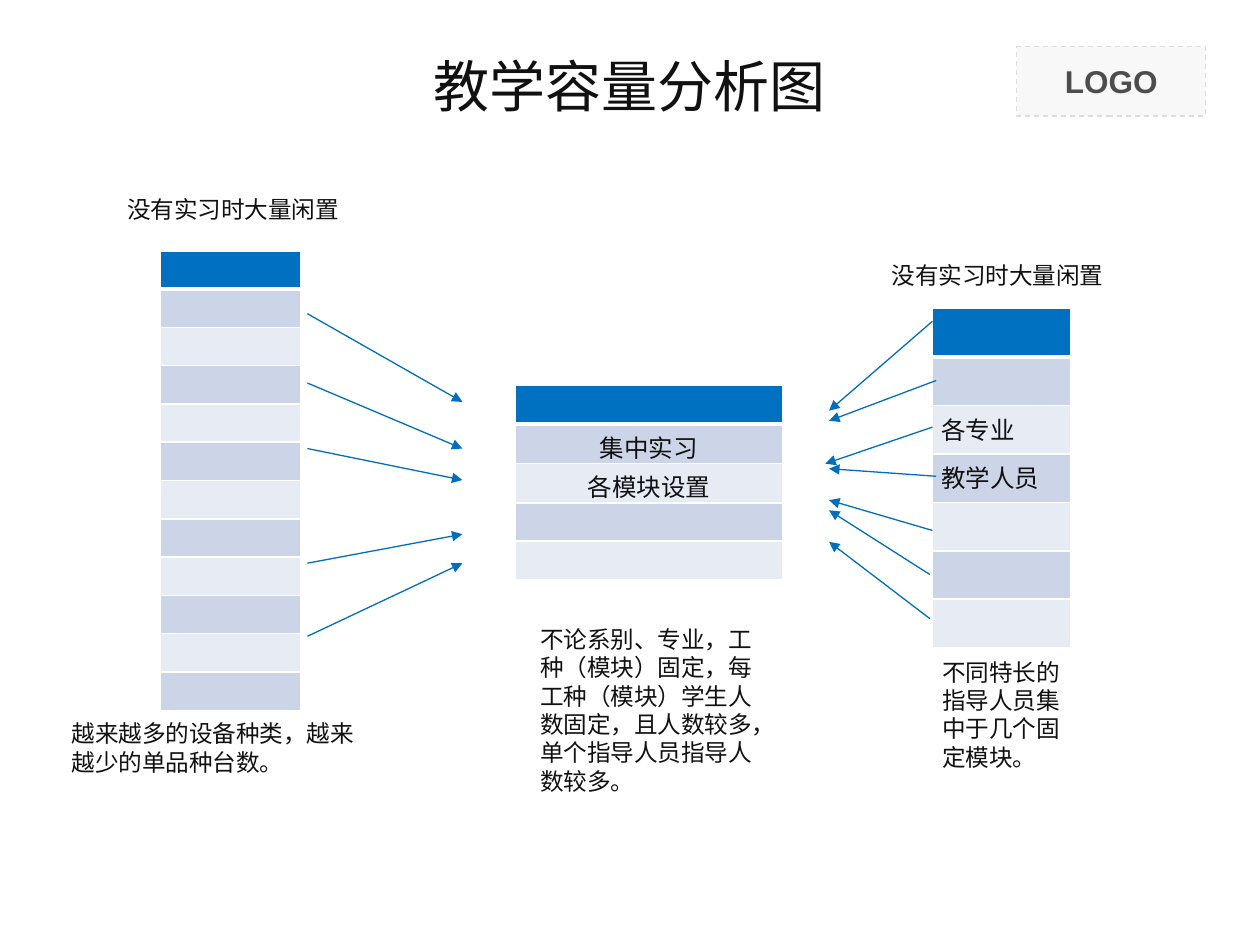
from dataclasses import dataclass
from itertools import cycle

from lxml.etree import SubElement
from pptx import Presentation
from pptx.dml.color import RGBColor
from pptx.enum.dml import MSO_LINE
from pptx.enum.shapes import MSO_CONNECTOR, MSO_SHAPE
from pptx.enum.text import MSO_ANCHOR, MSO_AUTO_SIZE, PP_ALIGN
from pptx.oxml.ns import qn
from pptx.slide import Slide
from pptx.table import _Cell
from pptx.text.text import TextFrame
from pptx.util import Inches, Pt


@dataclass(frozen=True)
class Theme:
    header: str = "0070C0"
    bands: tuple[str, str] = ("CCD5E8", "E7EBF4")
    border: str = "FFFFFF"
    arrow: str = "006EBC"
    ink: str = "111111"
    logo_fill: str = "F8F8F8"
    logo_line: str = "DDDDDD"
    logo_ink: str = "4D4D4D"
    body_font: str = "Arial"
    title_font: str = "Montserrat"
    title_size: float = 32
    logo_size: float = 18
    cell_size: float = 14
    empty_cell_size: float = 10
    note_size: float = 13.5
    thin_line: float = 0.75
    cell_line: float = 1
    header_line: float = 3


@dataclass(frozen=True)
class Stack:
    left: float
    top: float
    width: float
    height: float
    rows: int
    labels: dict[int, str]
    align: PP_ALIGN = PP_ALIGN.LEFT


@dataclass(frozen=True)
class Note:
    text: str
    left: float
    top: float
    width: float
    height: float
    wrap: bool = True


@dataclass(frozen=True)
class Arrow:
    x1: float
    y1: float
    x2: float
    y2: float


THEME = Theme()
IDLE = "没有实习时大量闲置"

STACKS = [
    Stack(7.4, 2.45, 1.1, 2.69, 7, {2: "各专业", 3: "教学人员"}),
    Stack(4.09, 3.06, 2.12, 1.52, 5, {1: "集中实习", 2: "各模块设置"}, PP_ALIGN.CENTER),
    Stack(1.27, 1.99, 1.12, 3.65, 12, {}),
]

NOTES = [
    Note("不论系别、专业，工种（模块）固定，每工种（模块）学生人数固定，且人数较多，"
         "单个指导人员指导人数较多。", 4.19, 4.91, 1.97, 1.46),
    Note("不同特长的指导人员集中于几个固定模块。", 7.38, 5.17, 1.13, 1.24),
    Note("越来越多的设备种类，越来越少的单品种台数。", 0.47, 5.66, 2.44, 0.56),
    Note(IDLE, 0.91, 1.5, 1.91, 0.33, wrap=False),
    Note(IDLE, 6.98, 2.02, 1.91, 0.33, wrap=False),
]

EQUIPMENT_ARROWS = [
    Arrow(2.44, start, 3.67, end)
    for start, end in [(2.49, 3.19), (3.04, 3.56), (3.56, 3.81), (4.47, 4.24), (5.05, 4.47)]
]
STAFF_ARROWS = [
    Arrow(7.4, 2.55, 6.58, 3.26),
    Arrow(7.43, 3.02, 6.58, 3.34),
    Arrow(7.4, 3.39, 6.55, 3.68),
    Arrow(7.43, 3.78, 6.58, 3.72),
    Arrow(7.4, 4.21, 6.58, 3.97),
    Arrow(7.38, 4.56, 6.58, 4.05),
    Arrow(7.38, 4.91, 6.58, 4.3),
]


def rgb(value: str) -> RGBColor:
    return RGBColor.from_string(value)


def write(frame: TextFrame, text: str, *, size: float, font: str = THEME.body_font,
          color: str = THEME.ink, bold: bool = False,
          align: PP_ALIGN = PP_ALIGN.LEFT) -> None:
    paragraph = frame.paragraphs[0]
    paragraph.alignment = align
    run = paragraph.add_run()
    run.text = text
    run.font.size = Pt(size)
    run.font.name = font
    run.font.bold = bold
    run.font.color.rgb = rgb(color)


def add_title(slide: Slide, text: str) -> None:
    title = slide.shapes.add_textbox(Inches(0.43), Inches(0.28), Inches(9.14), Inches(0.79))
    title.text_frame.word_wrap = True
    title.text_frame.vertical_anchor = MSO_ANCHOR.MIDDLE
    write(title.text_frame, text, size=THEME.title_size, font=THEME.title_font,
          align=PP_ALIGN.CENTER)


def add_logo_box(slide: Slide) -> None:
    box = slide.shapes.add_shape(
        MSO_SHAPE.RECTANGLE, Inches(8.07), Inches(0.37), Inches(1.5), Inches(0.55))
    box.shadow.inherit = False
    box.fill.solid()
    box.fill.fore_color.rgb = rgb(THEME.logo_fill)
    box.line.color.rgb = rgb(THEME.logo_line)
    box.line.width = Pt(THEME.thin_line)
    box.line.dash_style = MSO_LINE.DASH
    box.text_frame.vertical_anchor = MSO_ANCHOR.MIDDLE
    write(box.text_frame, "LOGO", size=THEME.logo_size, color=THEME.logo_ink,
          bold=True, align=PP_ALIGN.CENTER)


def set_borders(cell: _Cell, top: float, bottom: float) -> None:
    properties = cell._tc.get_or_add_tcPr()
    widths = {"a:lnL": THEME.cell_line, "a:lnR": THEME.cell_line, "a:lnT": top, "a:lnB": bottom}
    for side, width in widths.items():
        border = SubElement(properties, qn(side), w=str(Pt(width)))
        fill = SubElement(border, qn("a:solidFill"))
        SubElement(fill, qn("a:srgbClr"), val=THEME.border)


def add_stack(slide: Slide, stack: Stack) -> None:
    table = slide.shapes.add_table(
        stack.rows, 1, Inches(stack.left), Inches(stack.top),
        Inches(stack.width), Inches(stack.height)).table
    bands = cycle(THEME.bands)
    for index, row in enumerate(table.rows):
        row.height = Inches(stack.height / stack.rows)
        cell = row.cells[0]
        cell.margin_left = cell.margin_right = Inches(0.07)
        cell.margin_top = cell.margin_bottom = Inches(0.04)
        set_borders(cell,
                    top=THEME.header_line if index == 1 else THEME.cell_line,
                    bottom=THEME.header_line if index == 0 else THEME.cell_line)
        cell.fill.solid()
        cell.fill.fore_color.rgb = rgb(THEME.header if index == 0 else next(bands))
        if index in stack.labels:
            write(cell.text_frame, stack.labels[index], size=THEME.cell_size, align=stack.align)
        else:
            end_mark = SubElement(cell.text_frame.paragraphs[0]._p, qn("a:endParaRPr"))
            end_mark.set("sz", str(int(THEME.empty_cell_size * 100)))


def add_arrow(slide: Slide, arrow: Arrow) -> None:
    connector = slide.shapes.add_connector(
        MSO_CONNECTOR.STRAIGHT, Inches(arrow.x1), Inches(arrow.y1),
        Inches(arrow.x2), Inches(arrow.y2))
    connector.line.color.rgb = rgb(THEME.arrow)
    connector.line.width = Pt(THEME.thin_line)
    SubElement(connector.line._get_or_add_ln(), qn("a:tailEnd"), type="triangle")
    SubElement(connector._element.spPr, qn("a:effectLst"))


def add_note(slide: Slide, note: Note) -> None:
    box = slide.shapes.add_textbox(
        Inches(note.left), Inches(note.top), Inches(note.width), Inches(note.height))
    box.text_frame.word_wrap = note.wrap
    box.text_frame.auto_size = MSO_AUTO_SIZE.SHAPE_TO_FIT_TEXT
    write(box.text_frame, note.text, size=THEME.note_size)


def main() -> None:
    presentation = Presentation()
    presentation.slide_width = Inches(10)
    presentation.slide_height = Inches(7.5)
    slide = presentation.slides.add_slide(presentation.slide_layouts[6])
    add_logo_box(slide)
    add_title(slide, "教学容量分析图")
    for stack in STACKS:
        add_stack(slide, stack)
    for arrow in EQUIPMENT_ARROWS + STAFF_ARROWS:
        add_arrow(slide, arrow)
    for note in NOTES:
        add_note(slide, note)
    presentation.save("out.pptx")


if __name__ == "__main__":
    main()
